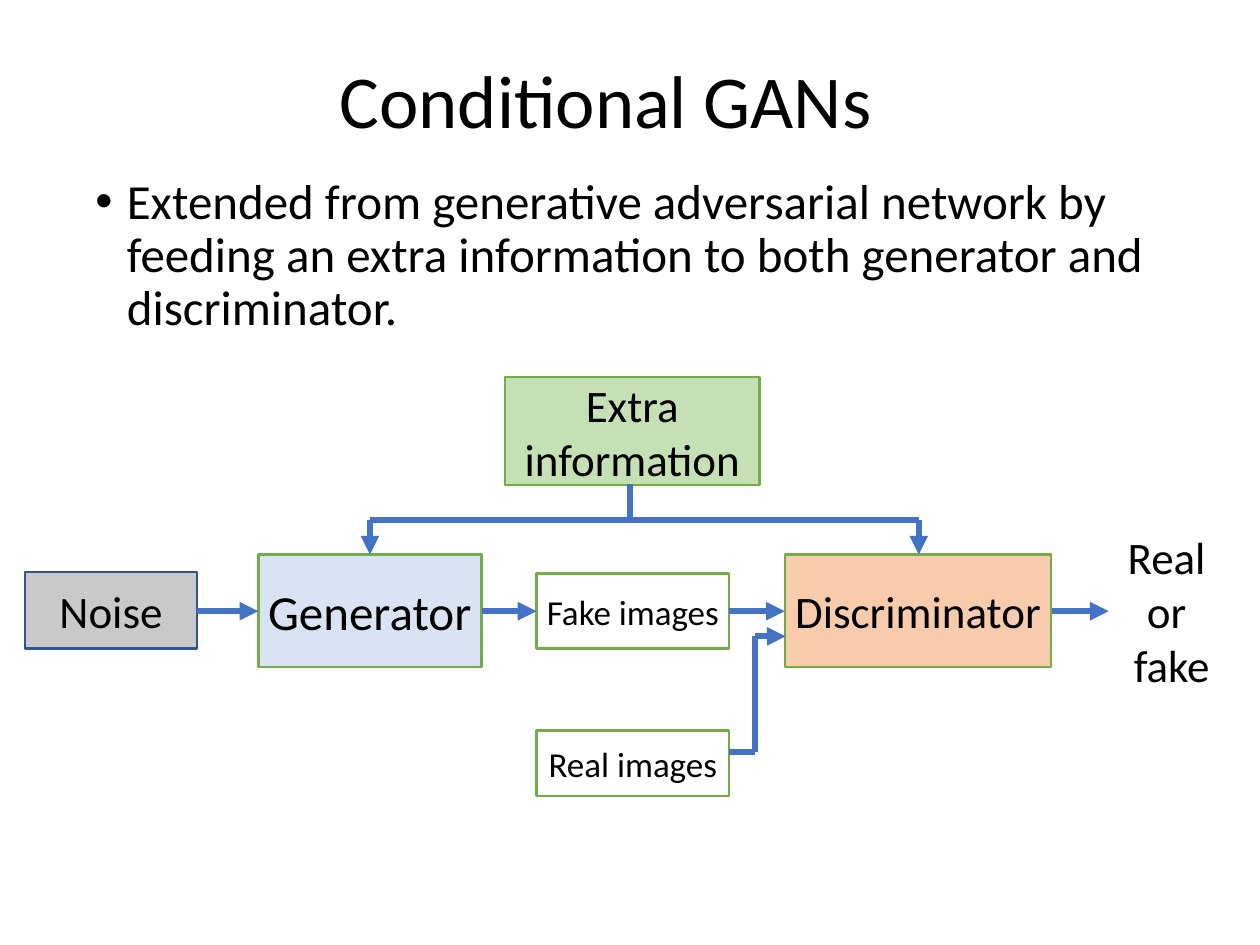
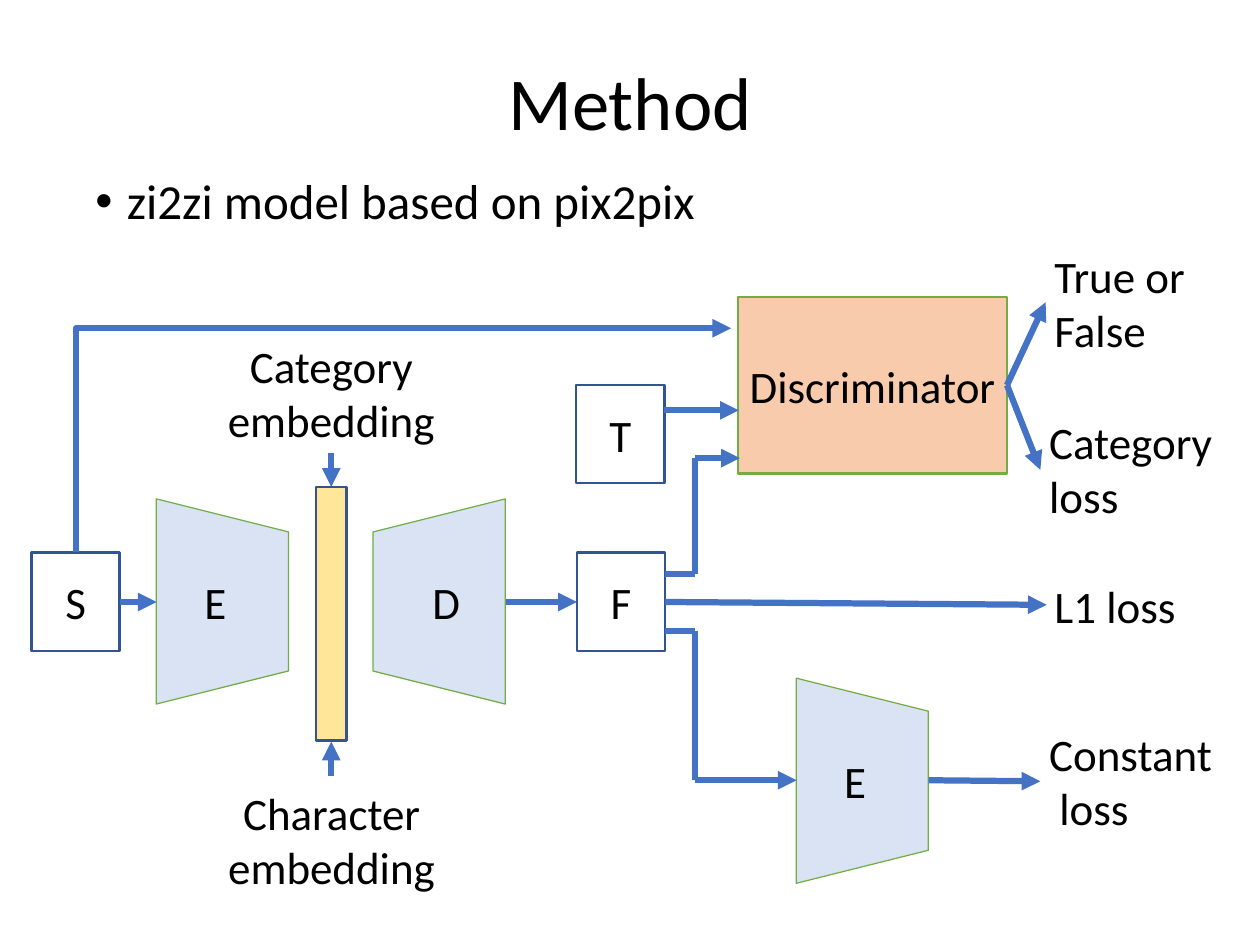
from lxml.etree import SubElement
from pptx import Presentation
from pptx.dml.color import RGBColor
from pptx.enum.shapes import MSO_CONNECTOR, MSO_SHAPE
from pptx.enum.text import MSO_ANCHOR, PP_ALIGN
from pptx.oxml.ns import qn
from pptx.util import Cm, Pt

COLORS = {
    "text": "000000", "white": "FFFFFF", "blue": "DAE3F3", "orange": "F8CBAD",
    "gray": "C9C9C9", "lime": "C5E0B4", "yellow": "FFE699",
    "green_edge": "70AD47", "navy_edge": "325491", "arrow": "4472C4",
}
RGB = {name: RGBColor.from_string(value) for name, value in COLORS.items()}


def write(shape, text, size=36, align=PP_ALIGN.CENTER, anchor=MSO_ANCHOR.MIDDLE,
          spacing=None, before=None, bullet=False, vert=None):
    tf = shape.text_frame
    tf.word_wrap = True
    tf.vertical_anchor = anchor
    if vert:
        tf._txBody.bodyPr.set("vert", vert)
    for i, line in enumerate(text.split("\n")):
        p = tf.add_paragraph() if i else tf.paragraphs[0]
        p.alignment = align
        if spacing:
            p.line_spacing = spacing
        if before:
            p.space_before = Pt(before)
        if bullet:
            pPr = p._p.get_or_add_pPr()
            pPr.set("marL", str(Cm(0.89)))
            pPr.set("indent", str(-Cm(0.89)))
            SubElement(pPr, qn("a:buFont")).set("typeface", "Arial")
            SubElement(pPr, qn("a:buChar")).set("char", "•")
        r = p.add_run()
        r.text = line
        r.font.name = "Calibri"
        r.font.size = Pt(size)
        r.font.color.rgb = RGB["text"]


def connect(s, x1, y1, x2, y2, arrow=True, kind=MSO_CONNECTOR.STRAIGHT):
    c = s.shapes.add_connector(kind, Cm(x1), Cm(y1), Cm(x2), Cm(y2))
    c.line.color.rgb = RGB["arrow"]
    c.line.width = Pt(5)
    if arrow:
        SubElement(c.line._get_or_add_ln(), qn("a:tailEnd")).set("type", "triangle")
    SubElement(c._element.spPr, qn("a:effectLst"))
    return c


prs = Presentation()
prs.slide_width, prs.slide_height = Cm(35.56), Cm(26.67)

FLOW_Y = 17.25
SPLIT_Y = 14.68
REAL_X, REAL_Y, JOIN_Y = 21.31, 21.23, 17.96
MODEL_Y = 16.99
FORK_X, FORK_TOP, FORK_BOTTOM = 19.61, 16.21, 17.81
ENCODER_Y = 22.02
BAR_X = 9.35
DISC_RIGHT, DISC_MID = 28.42, 10.87

slides = [
    {
        "title": ("Conditional GANs", 1.75, 0.58, 4.72),
        "body": "Extended from generative adversarial network by feeding an extra "
                "information to both generator and discriminator.",
        "boxes": [
            ("Generator", 7.29, 15.65, 6.3, 3.18, "blue", "green_edge", 39.2),
            ("Discriminator", 22.15, 15.65, 7.52, 3.18, "orange", "green_edge", 36),
            ("Noise", 0.71, 16.15, 4.85, 2.16, "gray", "navy_edge", 36),
            ("Real images", 15.14, 20.62, 5.44, 1.85, "white", "green_edge", 28),
            ("Fake images", 15.14, 16.18, 5.44, 2.13, "white", "green_edge", 28),
            ("Extra information", 14.25, 10.64, 7.19, 3.05, "lime", "green_edge", 36),
        ],
        "trapezoids": [],
        "labels": [("Real \nor \nfake", 31.29, 14.81, 3.56, 4.88, PP_ALIGN.CENTER)],
        "arrows": [
            *[(x1, FLOW_Y, x2, FLOW_Y) for x1, x2 in
              ((5.56, 7.29), (13.59, 15.14), (20.57, 22.15), (29.69, 31.29))],
            *[(x, SPLIT_Y, x, 15.65) for x in (10.44, 25.93)],
            (REAL_X, JOIN_Y, 22.17, JOIN_Y),
        ],
        "lines": [
            (17.78, SPLIT_Y, 17.78, 13.67),
            (10.44, SPLIT_Y, 25.93, SPLIT_Y),
            (20.57, REAL_Y, REAL_X, REAL_Y),
            (REAL_X, REAL_Y, REAL_X, JOIN_Y),
        ],
    },
    {
        "title": ("Method", 2.44, 0.41, 5.16),
        "body": "zi2zi model based on pix2pix",
        "boxes": [
            ("S", 0.89, 15.6, 2.49, 2.77, "white", "navy_edge", 36),
            ("F", 16.28, 15.6, 2.49, 2.77, "white", "navy_edge", 36),
            ("T", 16.26, 10.87, 2.49, 2.77, "white", "navy_edge", 36),
            ("", 8.92, 13.74, 0.86, 7.16, "yellow", "navy_edge", 36),
            ("Discriminator", 20.83, 8.38, 7.59, 4.98, "orange", "green_edge", 36),
        ],
        "trapezoids": [
            ("E", 3.38, 15.11, 90, "vert270"),
            ("D", 9.5, 15.11, 270, "vert"),
            ("E", 21.44, 20.17, 90, "vert270"),
        ],
        "labels": [
            ("Category\nembedding", 5.92, 9.42, 6.86, 3.33, PP_ALIGN.CENTER),
            ("Character\nembedding", 5.31, 22.05, 8.1, 3.33, PP_ALIGN.CENTER),
            ("True or False", 29.51, 6.88, 5.31, 3.33, PP_ALIGN.LEFT),
            ("Category\nloss", 29.36, 11.58, 5.31, 3.33, PP_ALIGN.LEFT),
            ("L1 loss", 29.51, 16.21, 5.31, 1.8, PP_ALIGN.LEFT),
            ("Constant\n loss", 29.36, 20.37, 5.31, 3.33, PP_ALIGN.LEFT),
        ],
        "arrows": [
            (3.38, MODEL_Y, 4.42, MODEL_Y),
            (14.27, MODEL_Y, 16.28, MODEL_Y),
            (18.77, MODEL_Y, 29.54, 17.07),
            (DISC_RIGHT, DISC_MID, 29.51, 8.53),
            (DISC_RIGHT, DISC_MID, 29.36, 13.26),
            (26.21, ENCODER_Y, 29.36, 22.05),
            (BAR_X, 12.78, BAR_X, 13.74),
            (BAR_X, 21.89, BAR_X, 20.93),
            (18.75, 11.58, 20.85, 11.58),
            (FORK_X, 12.93, 20.88, 12.93),
            (FORK_X, ENCODER_Y, 22.48, ENCODER_Y),
        ],
        "lines": [
            (18.77, FORK_TOP, FORK_X, FORK_TOP),
            (FORK_X, FORK_TOP, FORK_X, 12.93),
            (18.77, FORK_BOTTOM, FORK_X, FORK_BOTTOM),
            (FORK_X, FORK_BOTTOM, FORK_X, ENCODER_Y),
        ],
    },
]

for content in slides:
    s = prs.slides.add_slide(prs.slide_layouts[5])
    text, x, y, h = content["title"]
    title = s.shapes.title
    title.left, title.top, title.width, title.height = Cm(x), Cm(y), Cm(30.68), Cm(h)
    write(title, text, size=59.7, spacing=0.9)

    body = s.shapes.add_textbox(Cm(2.44), Cm(4.88), Cm(30.68), Cm(20.35))
    write(body, content["body"], size=39.2, align=PP_ALIGN.LEFT,
          anchor=MSO_ANCHOR.TOP, spacing=0.9, before=14, bullet=True)

    for text, x, y, w, h, fill, edge, size in content["boxes"]:
        sp = s.shapes.add_shape(MSO_SHAPE.RECTANGLE, Cm(x), Cm(y), Cm(w), Cm(h))
        sp.shadow.inherit = False
        sp.fill.solid()
        sp.fill.fore_color.rgb = RGB[fill]
        sp.line.color.rgb = RGB[edge]
        sp.line.width = Pt(2)
        if text:
            write(sp, text, size=size)

    for text, x, y, angle, vert in content["trapezoids"]:
        sp = s.shapes.add_shape(MSO_SHAPE.TRAPEZOID, Cm(x), Cm(y), Cm(5.79), Cm(3.73))
        sp.rotation = angle
        sp.shadow.inherit = False
        sp.fill.solid()
        sp.fill.fore_color.rgb = RGB["blue"]
        sp.line.color.rgb = RGB["green_edge"]
        sp.line.width = Pt(1)
        write(sp, text, vert=vert)

    for text, x, y, w, h, align in content["labels"]:
        label = s.shapes.add_textbox(Cm(x), Cm(y), Cm(w), Cm(h))
        write(label, text, align=align, anchor=MSO_ANCHOR.TOP)

    for ends in content["arrows"]:
        connect(s, *ends)
    for ends in content["lines"]:
        connect(s, *ends, arrow=False)

bent = connect(s, 14.55, 21.67, 8.23, 3.18, kind=MSO_CONNECTOR.ELBOW)
bent._element.spPr.find(qn("a:xfrm")).set("rot", str(90 * 60000))
bent._element.spPr.find(qn("a:prstGeom")).set("prst", "bentConnector2")

prs.save("out.pptx")
